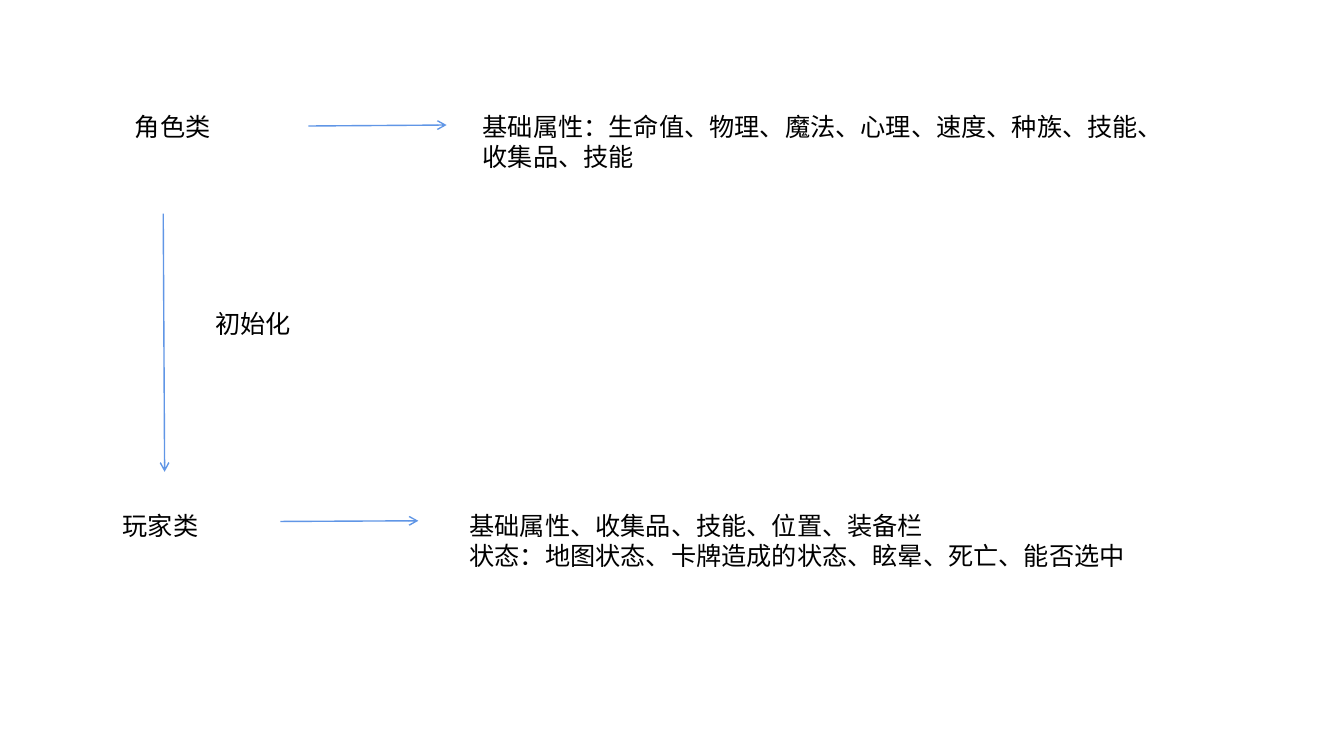
from lxml import etree
from pptx import Presentation
from pptx.dml.color import RGBColor
from pptx.enum import shapes, text
from pptx.oxml import ns
from pptx.util import Pt

COLORS = {"ink": "000000", "arrow": "6096E6"}
FONT = {"name": "Arial", "size": Pt(18)}
FRAME = {"word_wrap": True, "auto_size": text.MSO_AUTO_SIZE.SHAPE_TO_FIT_TEXT}

LABELS = [
    (89.3, 75.6, 155.5, 29, ["角色类"]),
    (80.6, 360.7, 138.2, 29, ["玩家类"]),
    (146.9, 216.7, 111.6, 29, ["初始化"]),
    (337.7, 75.6, 502.6, 51, ["基础属性：生命值、物理、魔法、心理、速度、种族、技能、收集品、技能"]),
    (328.3, 360.7, 502.6, 51, ["基础属性、收集品、技能、位置、装备栏",
                               "状态：地图状态、卡牌造成的状态、眩晕、死亡、能否选中"]),
]
ARROWS = [
    (116.6, 152.6, 117.6, 337),
    (220.3, 90, 319, 89.3),
    (200.2, 372.5, 298.8, 372),
]


def style(item, values):
    for key, value in values.items():
        setattr(item, key, value)


def label(slide, x, y, width, height, lines):
    frame = slide.shapes.add_textbox(Pt(x), Pt(y), Pt(width), Pt(height)).text_frame
    style(frame, FRAME)
    frame.text = "\n".join(lines)
    for para in frame.paragraphs:
        style(para.runs[0].font, FONT)
        para.runs[0].font.color.rgb = RGBColor.from_string(COLORS["ink"])


def arrow(slide, *ends):
    link = slide.shapes.add_connector(shapes.MSO_CONNECTOR.STRAIGHT, *map(Pt, ends))
    link.line.width = Pt(1)
    link.line.color.rgb = RGBColor.from_string(COLORS["arrow"])
    etree.SubElement(link.line._get_or_add_ln(), ns.qn("a:tailEnd"), type="arrow")
    etree.SubElement(link._element.spPr, ns.qn("a:effectLst"))


deck = Presentation()
style(deck, {"slide_width": Pt(960), "slide_height": Pt(540)})
slide = deck.slides.add_slide(deck.slide_layouts[6])
for row in LABELS:
    label(slide, *row)
for row in ARROWS:
    arrow(slide, *row)
deck.save("out.pptx")
